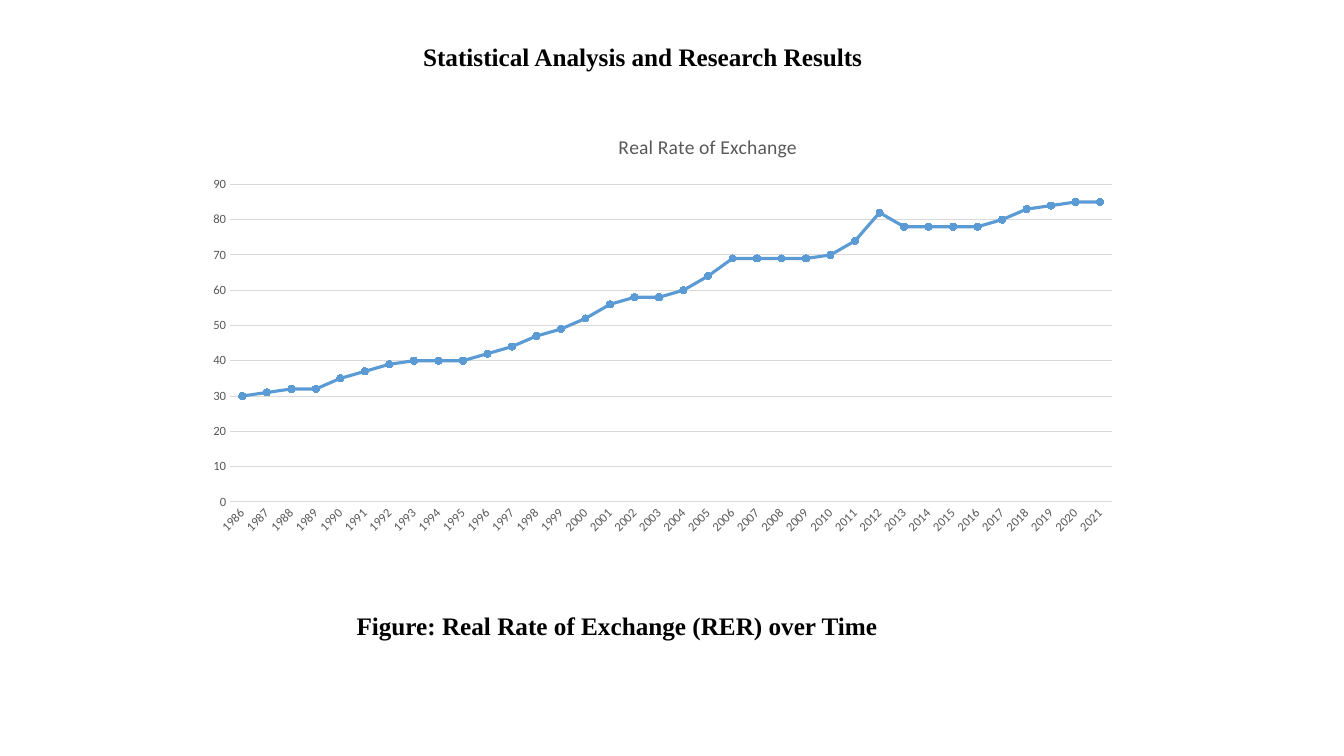
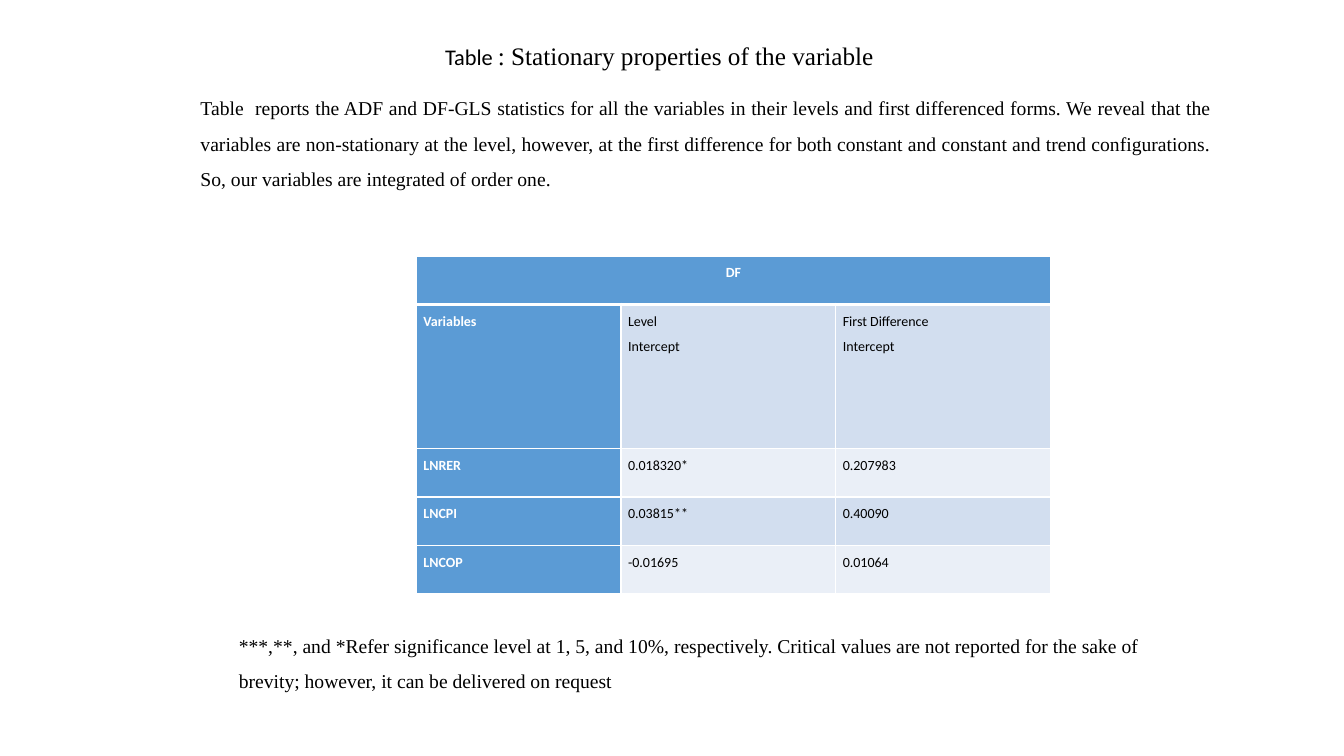
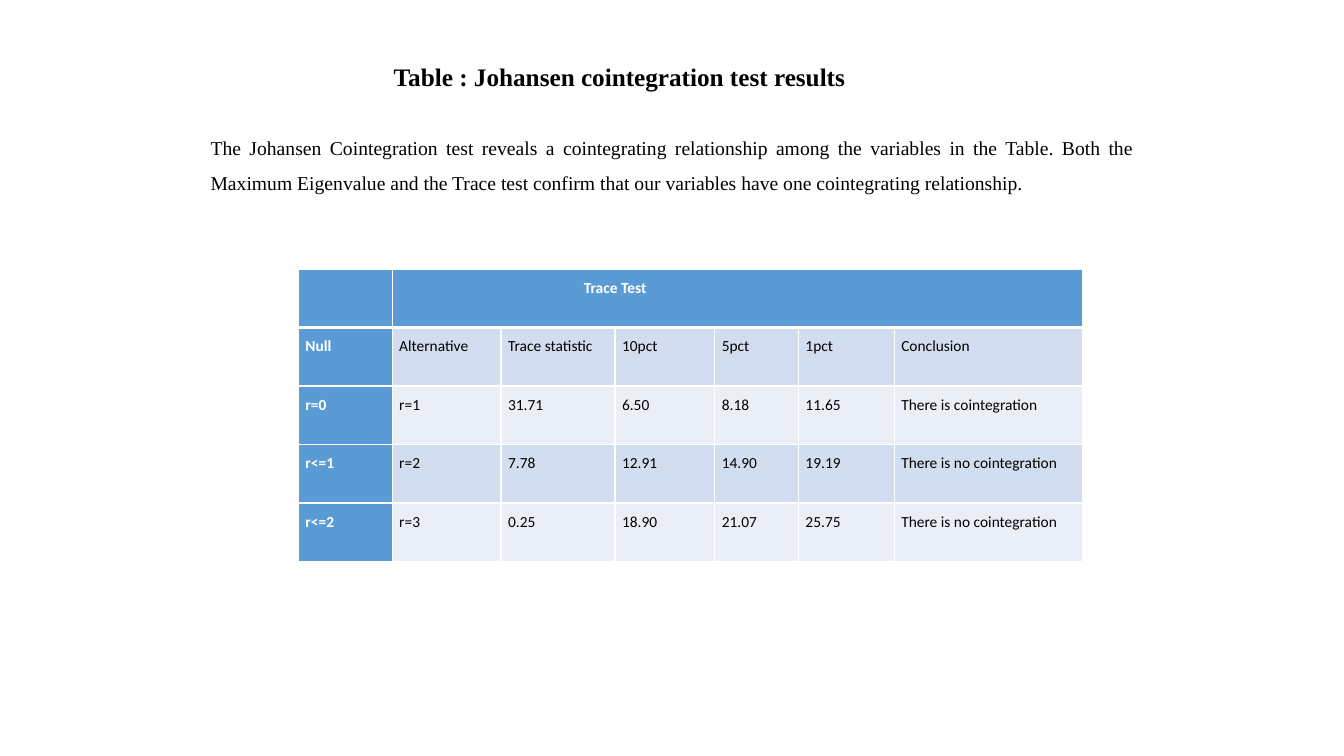
from lxml import etree
from pptx import Presentation
from pptx.chart.data import CategoryChartData
from pptx.dml.color import RGBColor
from pptx.enum.chart import XL_CHART_TYPE, XL_MARKER_STYLE, XL_TICK_MARK
from pptx.enum.text import MSO_ANCHOR, MSO_AUTO_SIZE, PP_ALIGN
from pptx.oxml import parse_xml
from pptx.oxml.ns import nsdecls, qn
from pptx.util import Inches, Pt

LINE, CIRCLE = XL_CHART_TYPE.LINE_MARKERS, XL_MARKER_STYLE.CIRCLE
NO_TICK = XL_TICK_MARK.NONE
LEFT, MID, FULL = PP_ALIGN.LEFT, PP_ALIGN.CENTER, PP_ALIGN.JUSTIFY
TOP, GROW = MSO_ANCHOR.TOP, MSO_AUTO_SIZE.SHAPE_TO_FIT_TEXT

# Shared look
HEX = {"blue": "5B9BD5", "mid": "D2DEEF", "pale": "EAEFF7", "white": "FFFFFF",
       "black": "000000", "gray": "595959", "grid": "D9D9D9"}
SERIF, SANS = "Times New Roman", "Calibri"
HEAD = {"name": SERIF, "size": 18, "bold": True}
PLAIN = {"name": SERIF, "size": 18, "bold": False}
SMALL = {"name": SANS, "size": 16, "bold": False}
BODY = {"name": SERIF, "size": 14}

# Content: titles hold (runs, box, wrap, line spacing, space after)
TITLES = [
    ([("Statistical Analysis and Research Results", HEAD)],
     (1.08, 0.36, 10.59, 0.4), True, 1, 0),
    ([("Table ", SMALL), (": Stationary properties of the variable", PLAIN)],
     (4.29, 0.2, 4.5, 0.51), False, 1.5, 8),
    ([("Table : Johansen cointegration test results", HEAD)],
     (3.78, 0.41, 4.73, 0.5), False, 1.5, 10),
]
CAPTION = "Figure: Real Rate of Exchange (RER) over Time"
UNIT = ("Table  reports the ADF and DF-GLS statistics for all the variables in "
        "their levels and first differenced forms. We reveal that the variables "
        "are non-stationary at the level, however, at the first difference for "
        "both constant and constant and trend configurations. So, our variables "
        "are integrated of order one.")
STARS = ("***,**, and *Refer significance level at 1, 5, and 10%, respectively. "
         "Critical values are not reported for the sake of brevity; however, it "
         "can be delivered on request")
RANK = ("The Johansen Cointegration test reveals a cointegrating relationship "
        "among the variables in the Table. Both the Maximum Eigenvalue and the "
        "Trace test confirm that our variables have one cointegrating relationship.")
RATE = "Real Rate of Exchange"
START = 1986
VALUES = [30, 31, 32, 32, 35, 37, 39, 40, 40, 40, 42, 44, 47, 49, 52, 56, 58, 58,
          60, 64, 69, 69, 69, 69, 70, 74, 82, 78, 78, 78, 78, 80, 83, 84, 85, 85]
DF_ROWS = [
    ["DF", "", ""],
    ["Variables", "Level\nIntercept", "First Difference\nIntercept"],
    ["LNRER", "0.018320*", "0.207983"],
    ["LNCPI", "0.03815**", "0.40090"],
    ["LNCOP", "-0.01695", "0.01064"],
]
TRACE_ROWS = [
    ["", "Trace Test", "", "", "", "", ""],
    ["Null", "Alternative", "Trace statistic", "10pct", "5pct", "1pct", "Conclusion"],
    ["r=0", "r=1", "31.71", "6.50", "8.18", "11.65", "There is cointegration"],
    ["r<=1", "r=2", "7.78", "12.91", "14.90", "19.19", "There is no cointegration"],
    ["r<=2", "r=3", "0.25", "18.90", "21.07", "25.75", "There is no cointegration"],
]


def shade(color, key):
    color.rgb = RGBColor.from_string(HEX[key])


def style(font, look, key="black"):
    for name, val in look.items():
        setattr(font, name, Pt(val) if name == "size" else val)
    shade(font.color, key)


def write(shape, runs, box, align, wrap=True, space=1.5, after=8):
    for name, val in zip(("left", "top", "width", "height"), box):
        setattr(shape, name, Inches(val))
    frame = shape.text_frame
    frame.word_wrap, frame.auto_size = wrap, GROW
    frame.vertical_anchor = TOP
    para = frame.paragraphs[0]
    para.alignment, para.line_spacing, para.space_after = align, space, Pt(after)
    for text, look in runs:
        run = para.add_run()
        run.text = text
        style(run.font, look)


def add_note(slide, text, look, box, align, **more):
    shape = slide.shapes.add_textbox(*map(Inches, box))
    write(shape, [(text, look)], box, align, **more)


def edge(cell, side, width):
    line = etree.SubElement(cell._tc.get_or_add_tcPr(), qn("a:ln" + side),
                            w=str(Pt(width)))
    fill = etree.SubElement(line, qn("a:solidFill"))
    etree.SubElement(fill, qn("a:srgbClr"), val=HEX["white"])


def add_grid(slide, rows, spot, cols, highs, size, first):
    """Banded table whose top row is merged from column `first` on."""
    shape = slide.shapes.add_table(len(rows), len(cols), *map(Inches, spot),
                                   Inches(sum(cols)), Inches(sum(highs)))
    table = shape.table
    table.first_col = True
    for col, wide in zip(table.columns, cols):
        col.width = Inches(wide)
    for row, high in zip(table.rows, highs):
        row.height = Inches(high)
    table.cell(0, first).merge(table.cell(0, len(cols) - 1))
    for r, row in enumerate(rows):
        for c, text in enumerate(row):
            cell = table.cell(r, c)
            head = r == 0 or c == 0
            for side in "LRTB":
                thick = (r, side) in ((0, "B"), (1, "T"))
                edge(cell, side, 3 if thick else 1)
            cell.fill.solid()
            shade(cell.fill.fore_color,
                  "blue" if head else "mid" if r % 2 else "pale")
            cell.margin_left = cell.margin_right = Inches(0.07)
            cell.margin_top = cell.margin_bottom = 0
            if not text:
                continue
            cell.text = text
            for para in cell.text_frame.paragraphs:
                para.line_spacing = 1.5
                style(para.runs[0].font, {"name": SANS, "size": size, "bold": head},
                      "white" if head else "black")
    return table


def place(node, index, **parts):
    """Fix a chart part at fractions of the chart area."""
    for old in node.findall(qn("c:layout")):
        node.remove(old)
    tags = "".join(f'<c:{k}Mode val="edge"/>' for k in "xy")
    tags += "".join(f'<c:{k} val="{v}"/>' for k, v in parts.items())
    inner = '<c:layoutTarget val="inner"/>' if "w" in parts else ""
    node.insert(index, parse_xml(
        f'<c:layout {nsdecls("c")}><c:manualLayout>{inner}{tags}'
        '</c:manualLayout></c:layout>'))


def add_rate(slide):
    data = CategoryChartData()
    data.categories = [str(START + i) for i in range(len(VALUES))]
    data.add_series(RATE, VALUES)
    box = map(Inches, (1.91, 1.2, 9.31, 4.2))
    chart = slide.shapes.add_chart(LINE, *box, data).chart
    style(chart.font, {"name": SANS, "size": 10})
    chart.has_legend = False
    chart.has_title = True
    frame = chart.chart_title.text_frame
    frame.text = RATE
    style(frame.paragraphs[0].runs[0].font,
          {"name": SANS, "size": 14, "bold": False}, "gray")
    chart.chart_title.include_in_layout = False

    # Axes
    years, rate = chart.category_axis, chart.value_axis
    for axis in (years, rate):
        axis.major_tick_mark = axis.minor_tick_mark = NO_TICK
        style(axis.tick_labels.font, {"name": SANS, "size": 9}, "gray")
    rate.minimum_scale, rate.maximum_scale, rate.major_unit = 0, 90, 10
    rate.format.line.fill.background()
    for line in (years.format.line, rate.major_gridlines.format.line):
        shade(line.color, "grid")
        line.width = Pt(0.75)

    # Line and markers
    plot = chart.plots[0]
    plot.vary_by_categories = False
    series = plot.series[0]
    series.smooth = False
    shade(series.format.line.color, "blue")
    series.format.line.width = Pt(2.25)
    mark = series.marker
    mark.style, mark.size = CIRCLE, 5
    mark.format.fill.solid()
    shade(mark.format.fill.fore_color, "blue")
    shade(mark.format.line.color, "blue")

    # Label slant and layout
    root = chart.element
    root.xpath("//c:catAx/c:txPr/a:bodyPr")[0].set("rot", "-2700000")
    place(root.xpath("//c:chart/c:title")[0], 1, x=0.45, y=0.02)
    place(root.xpath("//c:plotArea")[0], 0, x=0.04, y=0.15, w=0.94, h=0.75)


# Slides
deck = Presentation()
deck.slide_width, deck.slide_height = Inches(13.33), Inches(7.5)
slides = []
for runs, box, wrap, space, after in TITLES:
    slide = deck.slides.add_slide(deck.slide_layouts[5])
    write(slide.shapes.title, runs, box, MID, wrap, space, after)
    slides.append(slide)
trend, unit, rank = slides

add_rate(trend)
add_note(trend, CAPTION, HEAD, (3.41, 5.86, 5.42, 0.56), MID, wrap=False, after=10)

add_note(unit, UNIT, BODY, (1.89, 0.79, 10.23, 1.12), FULL)
grid = add_grid(unit, DF_ROWS, (4.13, 2.54), [2.03, 2.13, 2.13],
                [0.48, 1.43] + [0.48] * 3, 10, 0)
grid.cell(0, 0).text_frame.paragraphs[0].alignment = MID
add_note(unit, STARS, BODY, (2.27, 6.12, 9.16, 0.77), LEFT)

add_note(rank, RANK, BODY, (1.99, 1.18, 9.36, 0.77), FULL)
grid = add_grid(rank, TRACE_ROWS, (2.96, 2.67),
                [0.93, 1.08, 1.13, 0.99, 0.83, 0.95, 1.87], [0.58] * 5, 11, 1)
grid.cell(0, 1).margin_left = Inches(1.9)

deck.save("out.pptx")
